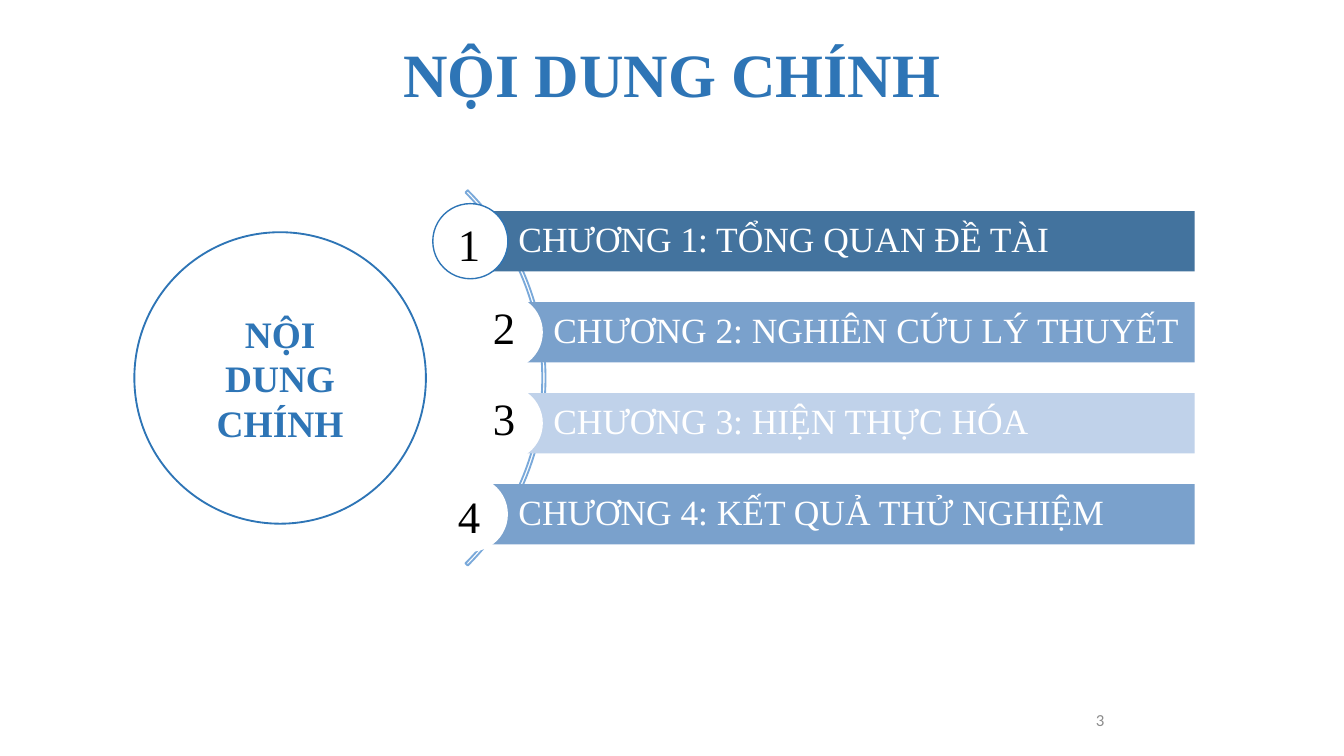
from pptx import Presentation
from pptx.dml.color import RGBColor
from pptx.enum import shapes, text
from pptx.util import Cm, Pt

COLOURS = {
    "white": "FFFFFF", "black": "000000", "accent": "2E75B6", "arc": "7AA9DA",
    "dark": "43739E", "medium": "7AA1CC", "light": "C0D2EA", "grey": "8C8C8C",
}
SERIF = "Times New Roman"
CHAPTERS = [
    ("CHƯƠNG 1: TỔNG QUAN ĐỀ TÀI", "dark", 0, 0.03, "accent"),
    ("CHƯƠNG 2: NGHIÊN CỨU LÝ THUYẾT", "medium", 0.66, 0.18, None),
    ("CHƯƠNG 3: HIỆN THỰC HÓA", "light", 0.66, 0.18, None),
    ("CHƯƠNG 4: KẾT QUẢ THỬ NGHIỆM", "medium", 0, 0.05, None),
]


def colour(name):
    """Return the palette colour called name."""
    return RGBColor.from_string(COLOURS[name])


def add_figure(page, kind, box, fill=None, line=None, width=1):
    """Add a flat preset shape in box (left, top, width, height in cm)."""
    figure = page.shapes.add_shape(kind, *map(Cm, box))
    figure.shadow.inherit = False
    if fill:
        figure.fill.solid()
        figure.fill.fore_color.rgb = colour(fill)
    else:
        figure.fill.background()
    if line:
        figure.line.color.rgb = colour(line)
        figure.line.width = Pt(width)
    else:
        figure.line.fill.background()
    return figure


def write(shape, words, size, ink, font=SERIF, bold=False, spacing=1.0,
          align=text.PP_ALIGN.CENTER, anchor=text.MSO_ANCHOR.MIDDLE,
          insets=(0.25, 0.13, 0.25, 0.13)):
    """Write one paragraph of words into shape."""
    frame = shape.text_frame
    frame.word_wrap = True
    frame.vertical_anchor = anchor
    (frame.margin_left, frame.margin_top,
     frame.margin_right, frame.margin_bottom) = map(Cm, insets)
    para = frame.paragraphs[0]
    para.alignment = align
    para.line_spacing = spacing
    span = para.add_run()
    span.text = words
    span.font.name = font
    span.font.size = Pt(size)
    span.font.bold = bold
    span.font.color.rgb = colour(ink)


def add_title(page, box):
    """Place the slide title."""
    title = page.shapes.add_textbox(*map(Cm, box))
    write(title, "NỘI DUNG CHÍNH", 33, "accent", bold=True, spacing=0.9,
          anchor=text.MSO_ANCHOR.TOP, insets=(0.25,) * 4)


def add_page_number(page, box):
    """Place the page number."""
    number = page.shapes.add_textbox(*map(Cm, box))
    write(number, "3", 9, "grey", font="Calibri", insets=(0.25,) * 4)


def add_hub(page, box):
    """Place the topic circle and the thin arc that surrounds it."""
    left, top, width, height = box
    hub = add_figure(page, shapes.MSO_SHAPE.OVAL, box, "white", "accent")
    write(hub, "NỘI DUNG CHÍNH", 20, "accent", bold=True)
    size = 10.03
    arc_box = (left + (width - size) / 2, top + (height - size) / 2, size, size)
    arc = add_figure(page, shapes.MSO_SHAPE.BLOCK_ARC, arc_box, line="arc")
    for index, value in enumerate((189, 27, 0.006)):
        arc.adjustments[index] = value


def add_chapter(page, box, number, words, fill, rise, outline):
    """Place a chapter bar with its numbered circle centred on the left edge."""
    left, top, width, height = box
    bar = add_figure(page, shapes.MSO_SHAPE.RECTANGLE, box, fill)
    write(bar, words, 19, "white", spacing=0.9, align=text.PP_ALIGN.LEFT,
          insets=(0.91, 0.12, 0.12, 0.12))
    size = 1.42
    circle_box = (left - size / 2, top + (height - size) / 2, size, size)
    add_figure(page, shapes.MSO_SHAPE.OVAL, circle_box, "white", outline, 0.75)
    label = page.shapes.add_textbox(Cm(left - 0.66), Cm(top - rise), Cm(1.27), Cm(1.27))
    write(label, str(number), 24, "black", anchor=text.MSO_ANCHOR.TOP)


def add_chapters(page, box):
    """Stack the chapter bars evenly in box, all ending at its right edge."""
    left, top, width, height = box
    bar_height = 1.14
    pitch = (height - bar_height) / (len(CHAPTERS) - 1)
    for index, (words, fill, indent, rise, outline) in enumerate(CHAPTERS):
        bar_box = (left + indent, top + index * pitch, width - indent, bar_height)
        add_chapter(page, bar_box, index + 1, words, fill, rise, outline)


def main():
    """Build the contents slide and save it."""
    deck = Presentation()
    deck.slide_width, deck.slide_height = Cm(25.4), Cm(14.29)
    page = deck.slides.add_slide(deck.slide_layouts[6])
    add_title(page, (0.86, 0.58, 23.67, 1.65))
    add_page_number(page, (17.93, 13.23, 5.72, 0.76))
    add_hub(page, (2.54, 4.39, 5.51, 5.51))
    add_chapters(page, (8.89, 3.99, 13.69, 6.3))
    deck.save("out.pptx")


if __name__ == "__main__":
    main()
